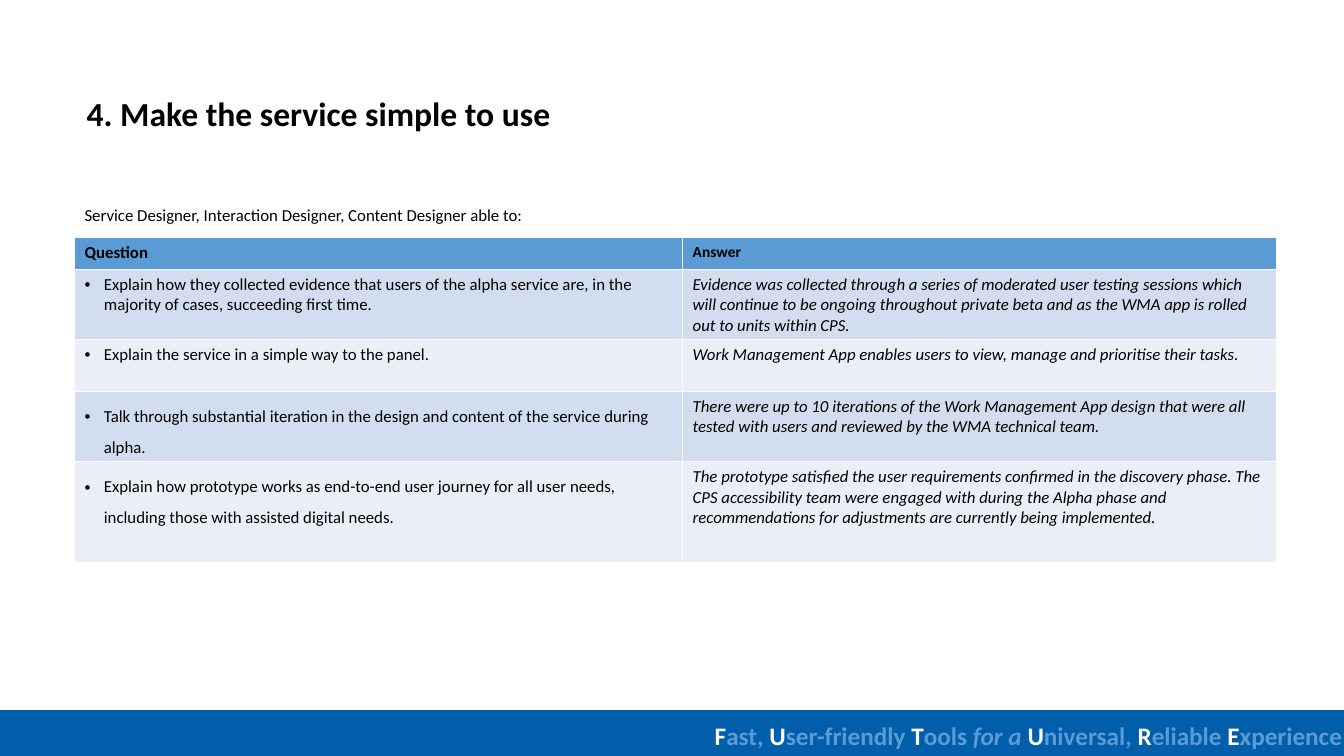
from lxml.etree import SubElement
from pptx import Presentation
from pptx.dml.color import RGBColor
from pptx.enum.shapes import MSO_SHAPE as Preset
from pptx.enum.text import MSO_ANCHOR as Anchor
from pptx.oxml.ns import qn
from pptx.util import Inches, Pt

BLACK = RGBColor(0x00, 0x00, 0x00)
WHITE = RGBColor(0xFF, 0xFF, 0xFF)
NAVY = RGBColor(0x00, 0x5E, 0xAA)
SKY = RGBColor(0x5B, 0x9B, 0xD5)
BANDS = [RGBColor(0xD2, 0xDE, 0xEF), RGBColor(0xEA, 0xEF, 0xF7)]

TITLE = "4. Make the service simple to use"
INTRO = "Service Designer, Interaction Designer, Content Designer able to:"
HEADINGS = [("Question", 12), ("Answer", 11)]
ROWS = [
    ("Explain how they collected evidence that users of the alpha service are, in the majority of cases, succeeding first time.",
     "Evidence was collected through a series of moderated user testing sessions which will continue to be ongoing throughout private beta and as the WMA app is rolled out to units within CPS.",
     0.7, 1),
    ("Explain the service in a simple way to the panel.",
     "Work Management App enables users to view, manage and prioritise their tasks.",
     0.51, 1),
    ("Talk through substantial iteration in the design and content of the service during alpha.",
     "There were up to 10 iterations of the Work Management App design that were all tested with users and reviewed by the WMA technical team.",
     0.7, 1.5),
    ("Explain how prototype works as end-to-end user journey for all user needs, including those with assisted digital needs.",
     "The prototype satisfied the user requirements confirmed in the discovery phase. The CPS accessibility team were engaged with during the Alpha phase and recommendations for adjustments are currently being implemented.",
     1.0, 1.5),
]
MOTTO = [("F", "ast, "), ("U", "ser-friendly "), ("T", "ools "), ("", "for a "),
         ("U", "niversal, "), ("R", "eliable "), ("E", "xperience")]

WIDTH, HEIGHT = 13.33, 7.5
LEFT = 0.74
TABLE_TOP = 2.36
COLUMNS = [6.03, 5.89]
HEADER_HEIGHT = 0.31
BAR_HEIGHT = 0.45
INDENT = 0.19


def add_span(para, text, size, color=BLACK, **formats):
    span = para.add_run()
    span.text = text
    span.font.color.rgb = color
    values = {"name": "Calibri", "size": Pt(size), "bold": False, "italic": False}
    for name, value in (values | formats).items():
        setattr(span.font, name, value)


def add_box(page, left, top, width, height, anchor=Anchor.TOP):
    box = page.shapes.add_textbox(*map(Inches, (left, top, width, height)))
    box.text_frame.word_wrap = True
    box.text_frame.vertical_anchor = anchor
    return box.text_frame.paragraphs[0]


def add_bullet(para):
    properties = para._p.get_or_add_pPr()
    properties.set("marL", str(Inches(INDENT)))
    properties.set("indent", str(-Inches(INDENT)))
    color = SubElement(properties, qn("a:buClr"))
    SubElement(color, qn("a:srgbClr")).set("val", str(BLACK))
    SubElement(properties, qn("a:buFont")).set("typeface", "Arial")
    SubElement(properties, qn("a:buChar")).set("char", "•")


def fill_cell(cell, color):
    cell.fill.solid()
    cell.fill.fore_color.rgb = color
    return cell.text_frame.paragraphs[0]


def add_footer(page):
    bar = page.shapes.add_shape(Preset.RECTANGLE, 0, Inches(HEIGHT - BAR_HEIGHT),
                                Inches(WIDTH), Inches(BAR_HEIGHT))
    bar.shadow.inherit = False
    bar.fill.solid()
    bar.fill.fore_color.rgb = NAVY
    bar.line.color.rgb = NAVY
    bar.line.width = Pt(1)
    para = add_box(page, 6.99, 7.1, 6.61, 0.4)
    for initial, rest in MOTTO:
        if initial:
            add_span(para, initial, 18, WHITE, bold=True)
        add_span(para, rest, 18, SKY, bold=True, italic=not initial)


def add_questions(page):
    heights = [HEADER_HEIGHT] + [row[2] for row in ROWS]
    frame = page.shapes.add_table(len(heights), len(COLUMNS), Inches(LEFT), Inches(TABLE_TOP),
                                  Inches(sum(COLUMNS)), Inches(sum(heights)))
    table = frame.table
    for column, width in zip(table.columns, COLUMNS):
        column.width = Inches(width)
    for row, height in zip(table.rows, heights):
        row.height = Inches(height)
    for index, (heading, size) in enumerate(HEADINGS):
        add_span(fill_cell(table.cell(0, index), SKY), heading, size, bold=True)
    for index, (question, answer, _, spacing) in enumerate(ROWS):
        band = BANDS[index % 2]
        para = fill_cell(table.cell(index + 1, 0), band)
        para.line_spacing = spacing
        add_bullet(para)
        add_span(para, question, 12)
        add_span(fill_cell(table.cell(index + 1, 1), band), answer, 12, italic=True)


def main():
    deck = Presentation()
    deck.slide_width, deck.slide_height = Inches(WIDTH), Inches(HEIGHT)
    page = deck.slides.add_slide(deck.slide_layouts[6])
    add_footer(page)
    intro = add_box(page, LEFT, 1.88, 10.85, 0.4)
    intro.line_spacing = 1.5
    add_span(intro, INTRO, 12)
    title = add_box(page, 0.76, 0.78, 11.62, 0.6, Anchor.BOTTOM)
    title.line_spacing = 0.9
    title.space_after = Pt(6)
    add_span(title, TITLE, 24, bold=True)
    add_questions(page)
    deck.save("out.pptx")


if __name__ == "__main__":
    main()
